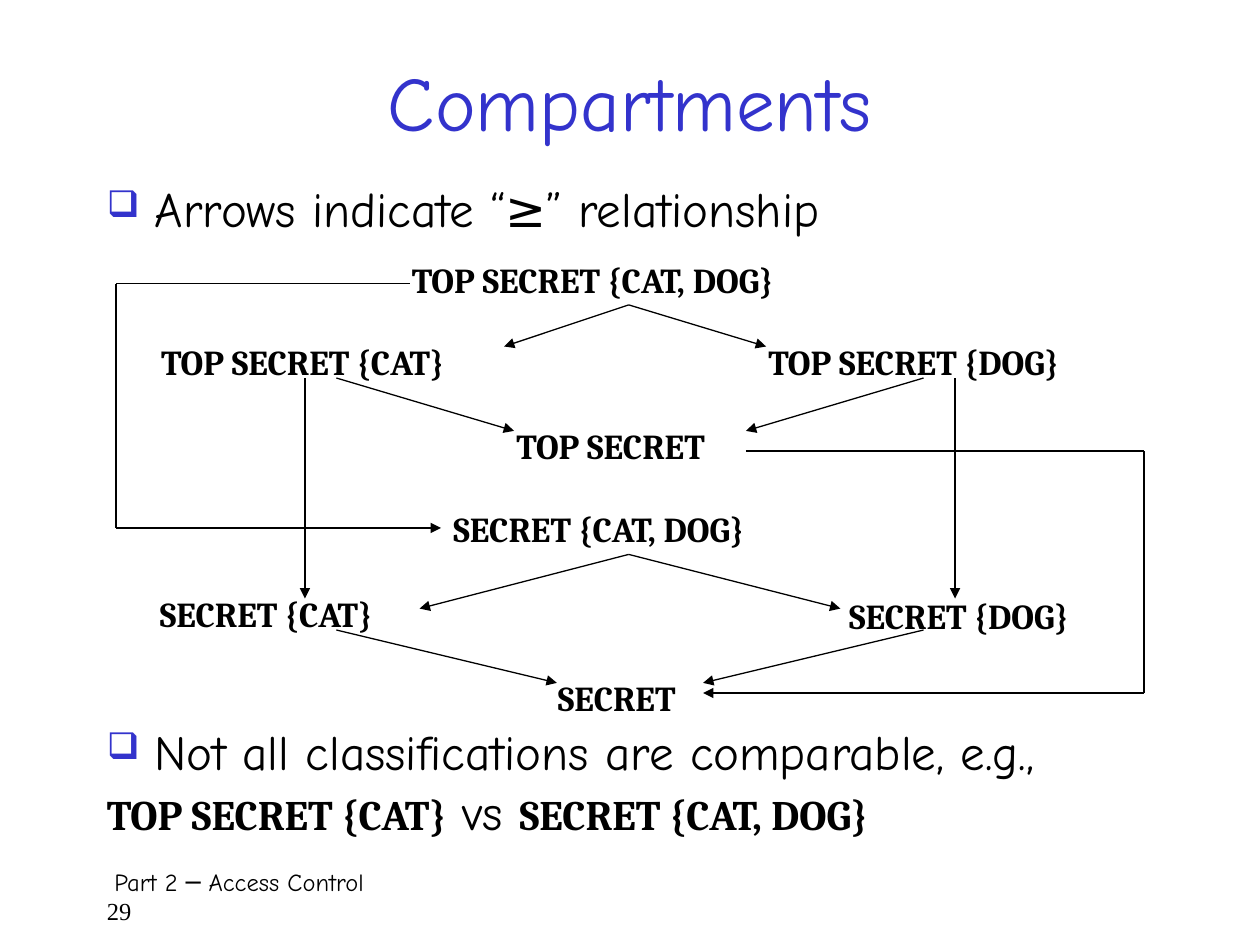
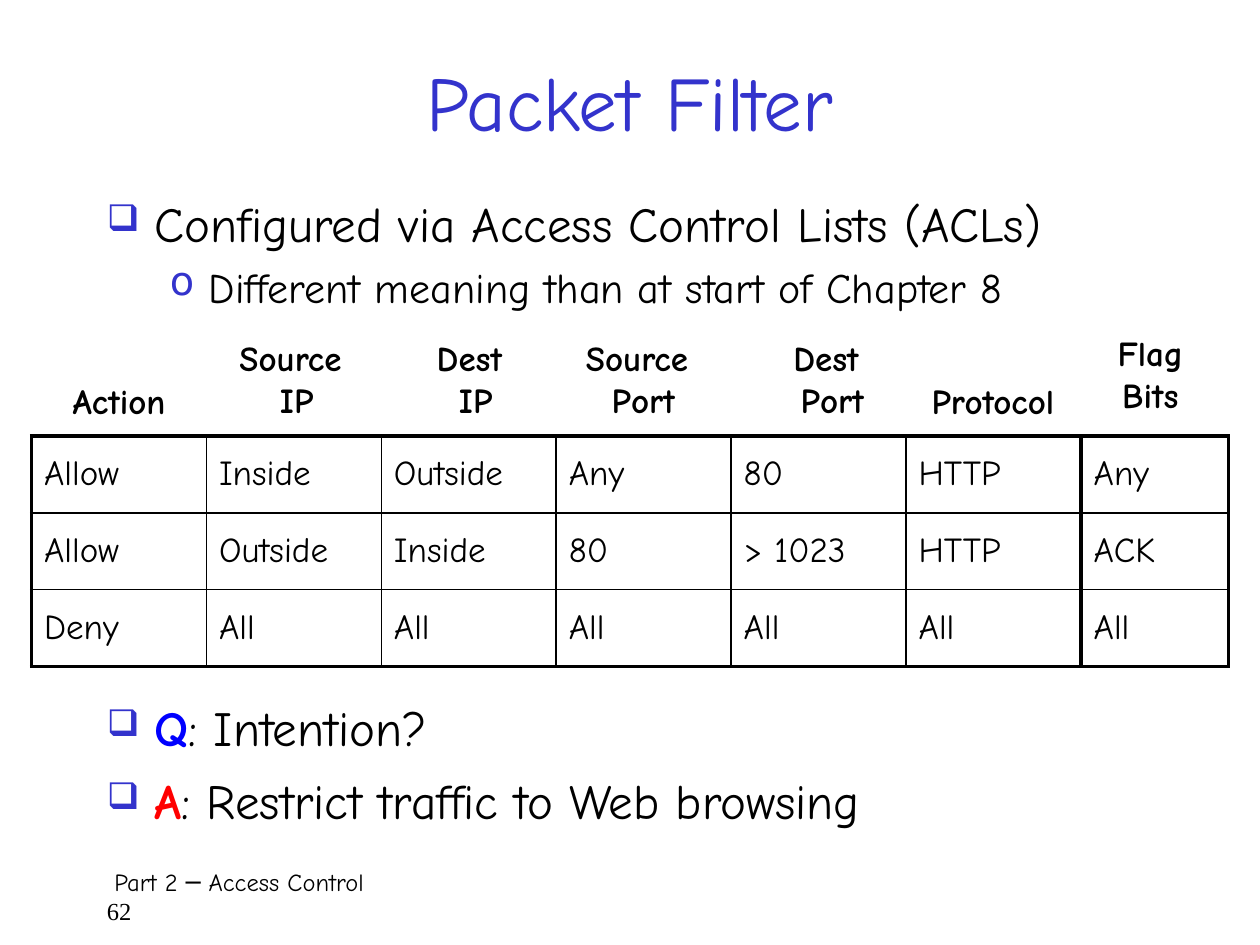
"""Build two access control slides: compartments and packet filter."""
from dataclasses import dataclass

from lxml.etree import SubElement
from pptx import Presentation
from pptx.dml.color import RGBColor
from pptx.enum.shapes import MSO_CONNECTOR
from pptx.enum.text import MSO_ANCHOR, PP_ALIGN
from pptx.oxml.ns import qn
from pptx.util import Inches, Pt


@dataclass(frozen=True)
class Theme:
    """Hold the fonts, colours and sizes that both slides share."""

    body_font: str = "Comic Neue"
    label_font: str = "Cambria"
    number_font: str = "Times New Roman"
    accent: str = "3333CC"
    ink: str = "000000"
    paper: str = "FFFFFF"
    question: str = "0000FF"
    answer: str = "FF0000"
    title_size: int = 44
    body_size: int = 28
    detail_size: int = 24
    label_size: int = 20
    footer_size: int = 14
    thin: float = 1
    thick: float = 2.25
    arrow: float = 0.75


@dataclass(frozen=True)
class Bullet:
    """Describe a bullet level: its character, size and indents."""

    character: str
    percent: int
    margin: float
    hanging: float
    level: int = 0


THEME = Theme()
SQUARE = Bullet("❑", 75, 0.38, 0.38)
CIRCLE = Bullet("o", 95, 0.81, 0.31, 1)
UNMARKED = Bullet("", 0, 0.38, 0.38)


def style_run(run, size, font=THEME.body_font, color=THEME.ink, bold=False):
    """Set the font of one run."""
    run.font.size = Pt(size)
    run.font.name = font
    run.font.bold = bold
    run.font.color.rgb = RGBColor.from_string(color)


def add_box(slide, left, top, width, height):
    """Add a wrapping text box and return it."""
    box = slide.shapes.add_textbox(
        Inches(left), Inches(top), Inches(width), Inches(height))
    box.text_frame.word_wrap = True
    return box


def add_text(slide, place, text, size, font=THEME.body_font, color=THEME.ink,
             bold=False, align=PP_ALIGN.LEFT):
    """Add a box whose lines all have one style."""
    box = add_box(slide, *place)
    box.text_frame.text = text
    for paragraph in box.text_frame.paragraphs:
        paragraph.alignment = align
        for run in paragraph.runs:
            style_run(run, size, font, color, bold)
    return box


def add_title(slide, text):
    """Add the centred slide title."""
    box = add_text(slide, (0.75, 0.17, 8.5, 1.25), text, THEME.title_size,
                   color=THEME.accent, align=PP_ALIGN.CENTER)
    box.text_frame.vertical_anchor = MSO_ANCHOR.MIDDLE


def add_footer(slide, number):
    """Add the part name with the slide number below it."""
    box = add_text(slide, (0.75, 6.83, 8.58, 0.5),
                   f"Part 2 ─ Access Control\n{number}", THEME.footer_size)
    name, page = box.text_frame.paragraphs
    name._p.get_or_add_pPr().set("marL", str(Inches(0.06)))
    page.runs[0].font.name = THEME.number_font


def set_bullet(paragraph, bullet):
    """Give a paragraph its bullet and hanging indent."""
    paragraph.level = bullet.level
    properties = paragraph._p.get_or_add_pPr()
    properties.set("marL", str(Inches(bullet.margin)))
    properties.set("indent", str(-Inches(bullet.hanging)))
    if not bullet.character:
        SubElement(properties, qn("a:buNone"))
        return
    color = SubElement(properties, qn("a:buClr"))
    SubElement(color, qn("a:srgbClr"), val=THEME.accent)
    SubElement(properties, qn("a:buSzPct"), val=str(bullet.percent * 1000))
    SubElement(properties, qn("a:buChar"), char=bullet.character)


def add_bullets(slide, place, items, line_spacing, space_after=0):
    """Add a list; each item is a bullet and its (text, style) pieces."""
    frame = add_box(slide, *place).text_frame
    for index, (bullet, pieces) in enumerate(items):
        paragraph = frame.add_paragraph() if index else frame.paragraphs[0]
        for text, style in pieces:
            run = paragraph.add_run()
            run.text = text
            style_run(run, **{"size": THEME.body_size, **style})
        largest = max(run.font.size.pt for run in paragraph.runs)
        paragraph.line_spacing = line_spacing
        paragraph.space_before = Pt(0.2 * largest)
        paragraph.space_after = Pt(space_after)
        set_bullet(paragraph, bullet)


def add_line(slide, start, end, arrow=True):
    """Add a thin straight line, with an arrowhead at its end if wanted."""
    points = [Inches(value) for value in (*start, *end)]
    line = slide.shapes.add_connector(MSO_CONNECTOR.STRAIGHT, *points)
    line.line.width = Pt(THEME.arrow)
    line.line.color.rgb = RGBColor.from_string(THEME.ink)
    if arrow:
        SubElement(line.line._get_or_add_ln(), qn("a:tailEnd"), type="triangle")
    SubElement(line._element.spPr, qn("a:effectLst"))
    return line


def add_route(slide, points):
    """Add a chain of lines with an arrowhead on the last, and return that."""
    for start, end in zip(points[:-2], points[1:-1]):
        add_line(slide, start, end, arrow=False)
    return add_line(slide, points[-2], points[-1])


def set_borders(cell, widths):
    """Draw the left, right, top and bottom borders of a cell."""
    properties = cell._tc.get_or_add_tcPr()
    for side, width in zip("LRTB", widths):
        border = SubElement(properties, qn(f"a:ln{side}"), w=str(Pt(width)))
        fill = SubElement(border, qn("a:solidFill"))
        SubElement(fill, qn("a:srgbClr"), val=THEME.ink)


def add_grid(slide, left, top, column_width, row_height, rows):
    """Add a plain table with thin inner lines and a thick frame."""
    row_count, column_count = len(rows), len(rows[0])
    frame = slide.shapes.add_table(
        row_count, column_count, Inches(left), Inches(top),
        Inches(column_width * column_count), Inches(row_height * row_count))
    table = frame.table
    table.first_row = table.horz_banding = False
    for row_index, row in enumerate(rows):
        for column_index, text in enumerate(row):
            cell = table.cell(row_index, column_index)
            cell.text_frame.text = text
            cell.vertical_anchor = MSO_ANCHOR.MIDDLE
            paragraph = cell.text_frame.paragraphs[0]
            paragraph.space_before = Pt(0.2 * THEME.label_size)
            style_run(paragraph.runs[0], THEME.label_size)
            on_frame = (column_index == 0, column_index == column_count - 1,
                        row_index == 0, row_index == row_count - 1)
            set_borders(cell, [THEME.thick if outer else THEME.thin
                               for outer in on_frame])
            cell.fill.background()


def add_slide(presentation, title, number):
    """Add a blank slide with its background, title and footer."""
    slide = presentation.slides.add_slide(presentation.slide_layouts[6])
    slide.background.fill.solid()
    slide.background.fill.fore_color.rgb = RGBColor.from_string(THEME.paper)
    add_footer(slide, number)
    add_title(slide, title)
    return slide


def add_lattice(slide):
    """Draw the classification labels and the arrows between them."""
    places = {
        "TOP SECRET {CAT, DOG}": (3.17, 2, 3.64),
        "TOP SECRET {CAT}": (1.18, 2.65, 2.84),
        "TOP SECRET {DOG}": (6, 2.65, 2.9),
        "TOP SECRET": (4, 3.32, 1.98),
        "SECRET {CAT, DOG}": (3.5, 3.98, 2.98),
        "SECRET {CAT}": (1.17, 4.65, 2.19),
        "SECRET {DOG}": (6.64, 4.67, 2.25),
        "SECRET": (4.33, 5.32, 1.33),
    }
    labels = {
        text: add_text(slide, (*place, 0.42), text, THEME.label_size,
                       THEME.label_font, bold=True)
        for text, place in places.items()}
    top_pair = labels["TOP SECRET {CAT, DOG}"]
    low_pair = labels["SECRET {CAT, DOG}"]

    fans = [(top_pair, (5, 2.42), [(4, 2.75), (6.08, 2.75)]),
            (low_pair, (5, 4.4), [(3.33, 4.83), (6.67, 4.83)])]
    for label, start, ends in fans:
        for end in ends:
            add_line(slide, start, end).begin_connect(label, 2)

    left_arrows = [((2.67, 3), (4.08, 3.42)), ((2.67, 5), (4.42, 5.42)),
                   ((2.42, 3), (2.42, 4.75))]
    for start, end in left_arrows:
        add_line(slide, start, end)
        add_line(slide, (10 - start[0], start[1]), (10 - end[0], end[1]))

    pair_route = [(3.25, 2.25), (0.92, 2.25), (0.92, 4.19), (3.5, 4.19)]
    add_route(slide, pair_route).end_connect(low_pair, 1)
    add_route(slide, [(5.92, 3.58), (9.08, 3.58), (9.08, 5.5), (5.58, 5.5)])


def build_compartments(presentation):
    """Build the slide on compartments."""
    slide = add_slide(presentation, "Compartments", 29)
    label = {"size": THEME.detail_size, "font": THEME.label_font, "bold": True}
    add_bullets(slide, (0.75, 1.42, 8.5, 0.67), [
        (SQUARE, [("Arrows indicate “≥” relationship", {})])], 0.9)
    add_bullets(slide, (0.75, 5.75, 8.58, 1), [
        (SQUARE, [("Not all classifications are comparable, e.g.,", {})]),
        (UNMARKED, [("TOP SECRET {CAT}", label), (" vs ", {}),
                    ("SECRET {CAT, DOG}", label)])], 0.85)
    add_lattice(slide)


def build_packet_filter(presentation):
    """Build the slide on packet filter rules."""
    slide = add_slide(presentation, "Packet Filter", 62)
    add_bullets(slide, (0.75, 1.58, 8.67, 1.08), [
        (SQUARE, [("Configured via Access Control Lists (ACLs)", {})]),
        (CIRCLE, [("Different meaning than at start of Chapter 8",
                   {"size": THEME.detail_size})])], 0.8, 6)

    add_grid(slide, 0.25, 3.46, 8.33 / 6, 0.61, [
        ["Allow", "Inside", "Outside", "Any", "80", "HTTP"],
        ["Allow", "Outside", "Inside", "80", "> 1023", "HTTP"],
        ["Deny", "All", "All", "All", "All", "All"]])
    add_grid(slide, 8.58, 3.46, 1.17, 0.61, [["Any"], ["ACK"], ["All"]])

    headings = [
        ("Action", 0.42, 2.96, 1.05), ("Source \nIP", 1.75, 2.62, 1.21),
        ("Dest \nIP", 3.17, 2.62, 1.21), ("Source \nPort", 4.5, 2.62, 1.21),
        ("Dest \nPort", 6, 2.62, 1.21), ("Protocol", 7.17, 2.96, 1.42),
        ("Flag\nBits", 8.42, 2.58, 1.42)]
    for text, left, top, width in headings:
        height = 0.88 if "\n" in text else 0.49
        add_text(slide, (left, top, width, height), text, THEME.label_size,
                 bold=True, align=PP_ALIGN.CENTER)

    add_bullets(slide, (0.75, 5.54, 8.5, 1.17), [
        (SQUARE, [("Q", {"color": THEME.question, "bold": True}),
                  (": Intention?", {})]),
        (SQUARE, [("A", {"color": THEME.answer, "bold": True}),
                  (": Restrict traffic to Web browsing", {})])], 0.9, 6)


def main():
    """Build and save the presentation."""
    presentation = Presentation()
    presentation.slide_width = Inches(10)
    presentation.slide_height = Inches(7.5)
    build_compartments(presentation)
    build_packet_filter(presentation)
    presentation.save("out.pptx")


if __name__ == "__main__":
    main()
